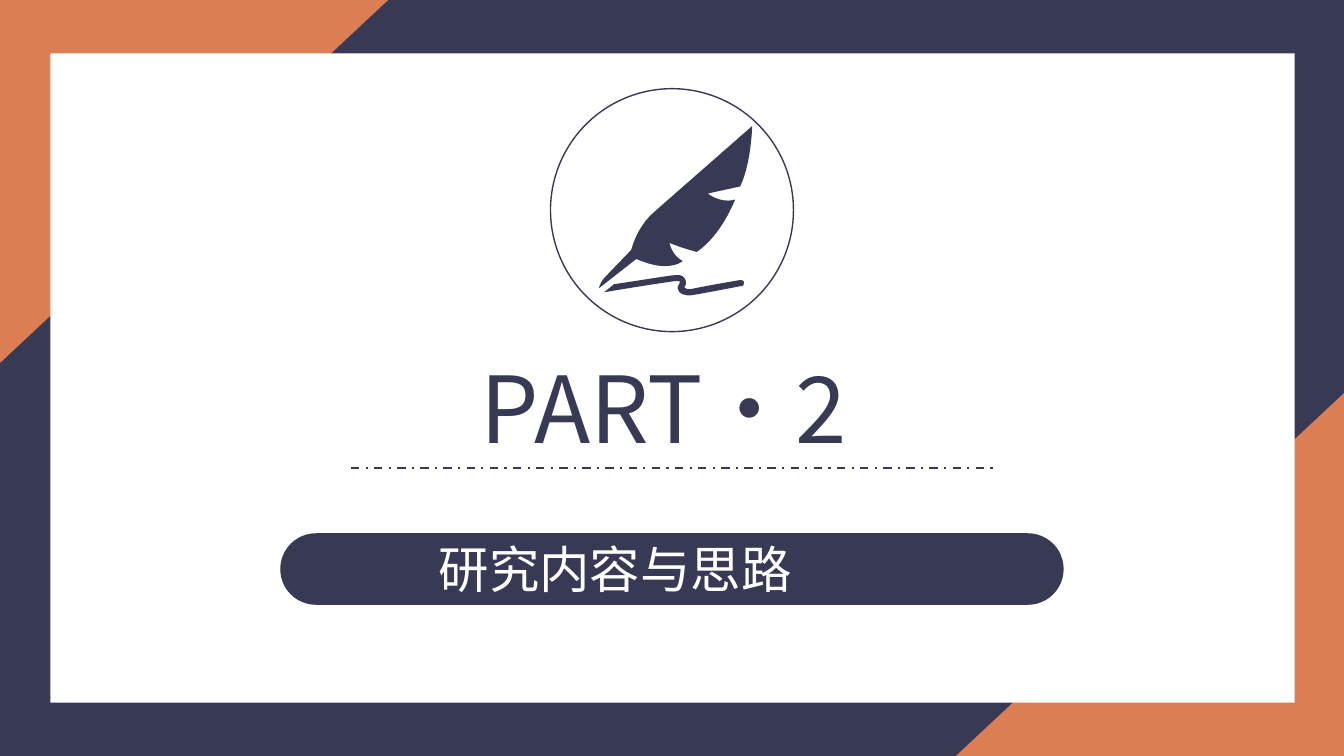
"""Build the section slide for part two: a framed card with a quill emblem."""
import dataclasses
import typing

import lxml.etree
import pptx
import pptx.dml.color
import pptx.enum.dml
import pptx.enum.shapes
import pptx.enum.text
import pptx.oxml.ns
import pptx.util

Inches = pptx.util.Inches
Preset = pptx.enum.shapes.MSO_SHAPE
Point = tuple[float, float]


@dataclasses.dataclass(frozen=True)
class Theme:
    navy: str = "383A55"
    orange: str = "DB7E54"
    white: str = "FFFFFF"
    font: str = "Noto Sans CJK SC"
    part_size: int = 66
    topic_size: int = 36


@dataclasses.dataclass(frozen=True)
class Panel:
    preset: Preset
    left: float
    top: float
    width: float
    height: float
    fill: str | None = None
    line: str | None = None
    rotation: float = 0


@dataclasses.dataclass(frozen=True)
class Caption:
    text: str
    left: float
    top: float
    width: float
    height: float
    size: int
    color: str


@dataclasses.dataclass(frozen=True)
class Outline:
    start: Point
    segments: tuple[tuple[float, ...], ...]


THEME = Theme()

PANELS = (
    Panel(Preset.RIGHT_TRIANGLE, 0.12, -0.13, 3.61, 3.86, THEME.orange, rotation=90),
    Panel(Preset.RIGHT_TRIANGLE, 9.6, 3.77, 3.61, 3.86, THEME.orange, rotation=270),
    Panel(Preset.RECTANGLE, 0.5, 0.53, 12.34, 6.44, THEME.white),
    Panel(Preset.OVAL, 5.46, 0.88, 2.41, 2.41, line=THEME.navy),
    Panel(Preset.ROUNDED_RECTANGLE, 2.78, 5.29, 7.77, 0.71, THEME.navy),
)

PART = Caption("PART·2", 4.67, 3.43, 4, 1.21, THEME.part_size, THEME.navy)
TOPIC = Caption("研究内容与思路", 4.25, 5.28, 4.82, 0.71, THEME.topic_size, THEME.white)

INK_STROKE = Outline((6.69, 2.73), (
    (6.72, 2.72, 6.75, 2.73, 6.77, 2.74),
    (6.8, 2.76, 6.81, 2.8, 6.8, 2.83),
    (6.8, 2.83, 6.79, 2.84, 6.79, 2.84),
    (6.79, 2.85, 6.79, 2.85, 6.79, 2.85),
    (6.79, 2.86, 6.79, 2.86, 6.8, 2.86),
    (6.81, 2.87, 6.82, 2.87, 6.84, 2.87),
    (6.85, 2.87, 6.92, 2.85, 7.33, 2.78),
    (7.34, 2.78, 7.34, 2.78, 7.35, 2.78),
    (7.36, 2.77, 7.38, 2.79, 7.38, 2.8),
    (7.38, 2.82, 7.37, 2.84, 7.36, 2.84),
    (7.36, 2.84, 7.35, 2.84, 7.34, 2.84),
    (7.03, 2.9, 6.86, 2.93, 6.85, 2.93),
    (6.84, 2.93, 6.83, 2.93, 6.82, 2.93),
    (6.8, 2.93, 6.79, 2.93, 6.77, 2.92),
    (6.74, 2.91, 6.73, 2.89, 6.72, 2.86),
    (6.72, 2.84, 6.73, 2.83, 6.74, 2.81),
    (6.74, 2.81, 6.74, 2.81, 6.74, 2.8),
    (6.74, 2.8, 6.74, 2.8, 6.74, 2.79),
    (6.73, 2.79, 6.71, 2.79, 6.69, 2.79),
    (6.67, 2.79, 6.22, 2.86, 5.99, 2.9),
    (6.09, 2.82),
    (6.29, 2.79, 6.66, 2.73, 6.69, 2.73),
))

FEATHER = Outline((7.46, 1.25), (
    (7.46, 1.25, 7.45, 1.63, 7.34, 1.85),
    (7.02, 1.92),
    (7.02, 1.92, 7.1, 1.99, 7.22, 1.99),
    (7.24, 1.99, 7.26, 1.99, 7.29, 1.98),
    (7.29, 1.98, 7.16, 2.33, 6.91, 2.5),
    (6.91, 2.5, 6.73, 2.45, 6.64, 2.41),
    (6.64, 2.41, 6.66, 2.53, 6.77, 2.59),
    (6.77, 2.59, 6.72, 2.64, 6.59, 2.64),
    (6.52, 2.64, 6.43, 2.62, 6.31, 2.57),
    (5.94, 2.86),
    (5.95, 2.82, 5.97, 2.78, 6, 2.75),
    (6.26, 2.48),
    (6.3, 2.34, 6.37, 2.21, 6.48, 2.11),
))


def rgb(color: str) -> pptx.dml.color.RGBColor:
    return pptx.dml.color.RGBColor.from_string(color)


def paint(shape: typing.Any, fill: str | None, line: str | None = None) -> None:
    shape.shadow.inherit = False
    if fill:
        shape.fill.solid()
        shape.fill.fore_color.rgb = rgb(fill)
    else:
        shape.fill.background()
    if line:
        shape.line.color.rgb = rgb(line)
        shape.line.width = pptx.util.Pt(1)
    else:
        shape.line.fill.background()


def draw_panel(page: typing.Any, panel: Panel) -> None:
    shape = page.shapes.add_shape(panel.preset, Inches(panel.left), Inches(panel.top),
                                  Inches(panel.width), Inches(panel.height))
    shape.rotation = panel.rotation
    if panel.preset == Preset.ROUNDED_RECTANGLE:
        shape.adjustments[0] = 0.5
    paint(shape, panel.fill, panel.line)


def bend_lines(shape: typing.Any, segments: tuple[tuple[float, ...], ...]) -> None:
    lines = iter(list(shape.element.iter(pptx.oxml.ns.qn("a:lnTo"))))
    for segment in segments:
        first = next(lines)
        if len(segment) == 2:
            continue
        curve = lxml.etree.Element(pptx.oxml.ns.qn("a:cubicBezTo"))
        first.addprevious(curve)
        for line in (first, next(lines), next(lines)):
            curve.append(line[0])
            line.getparent().remove(line)


def draw_quill(page: typing.Any) -> None:
    builder = page.shapes.build_freeform(*map(Inches, INK_STROKE.start))
    for outline in (INK_STROKE, FEATHER):
        if outline is FEATHER:
            builder.move_to(*map(Inches, outline.start))
        builder.add_line_segments([
            (Inches(x), Inches(y))
            for segment in outline.segments
            for x, y in zip(segment[::2], segment[1::2])
        ])
    quill = builder.convert_to_shape()
    bend_lines(quill, INK_STROKE.segments + FEATHER.segments)
    paint(quill, THEME.navy)


def draw_divider(page: typing.Any) -> None:
    divider = page.shapes.add_connector(pptx.enum.shapes.MSO_CONNECTOR.STRAIGHT,
                                        Inches(3.48), Inches(4.64), Inches(9.85), Inches(4.64))
    divider.line.color.rgb = rgb(THEME.navy)
    divider.line.width = pptx.util.Pt(1.5)
    divider.line.dash_style = pptx.enum.dml.MSO_LINE.DASH_DOT
    lxml.etree.SubElement(divider.element.spPr, pptx.oxml.ns.qn("a:effectLst"))


def write_caption(box: typing.Any, caption: Caption) -> None:
    box.left, box.top = Inches(caption.left), Inches(caption.top)
    box.width, box.height = Inches(caption.width), Inches(caption.height)
    frame = box.text_frame
    frame.word_wrap = True
    frame.auto_size = pptx.enum.text.MSO_AUTO_SIZE.NONE
    frame.vertical_anchor = pptx.enum.text.MSO_ANCHOR.MIDDLE
    para = frame.paragraphs[0]
    para.alignment = pptx.enum.text.PP_ALIGN.JUSTIFY
    para.space_before = pptx.util.Pt(0)
    span = para.add_run()
    span.text = caption.text
    span.font.name = THEME.font
    span.font.size = pptx.util.Pt(caption.size)
    span.font.color.rgb = rgb(caption.color)
    east_asian = lxml.etree.SubElement(span.font._element, pptx.oxml.ns.qn("a:ea"))
    east_asian.set("typeface", THEME.font)
    box.element.getparent().append(box.element)


def main() -> None:
    deck = pptx.Presentation()
    deck.slide_width, deck.slide_height = Inches(13.33), Inches(7.5)
    page = deck.slides.add_slide(deck.slide_layouts[0])
    page.background.fill.solid()
    page.background.fill.fore_color.rgb = rgb(THEME.navy)
    for panel in PANELS:
        draw_panel(page, panel)
    draw_quill(page)
    draw_divider(page)
    write_caption(page.shapes.title, PART)
    write_caption(page.placeholders[1], TOPIC)
    deck.save("out.pptx")


if __name__ == "__main__":
    main()
